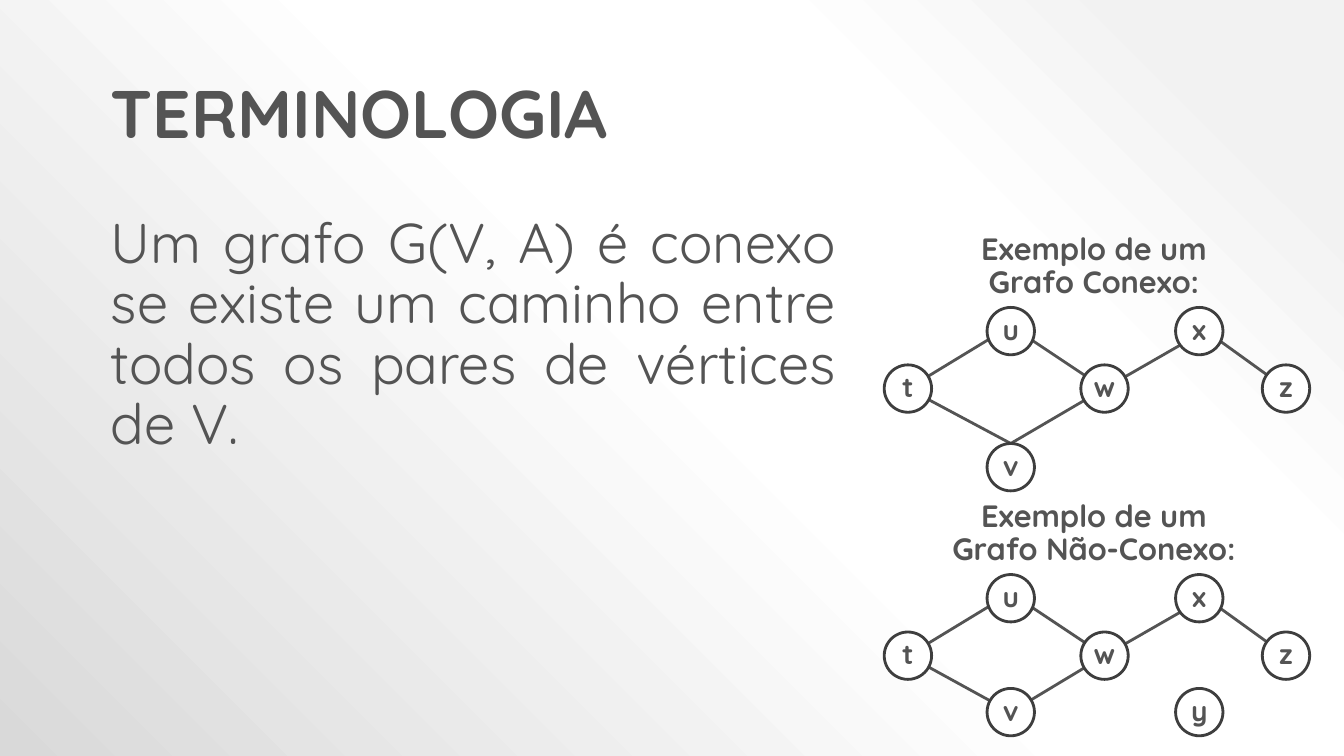
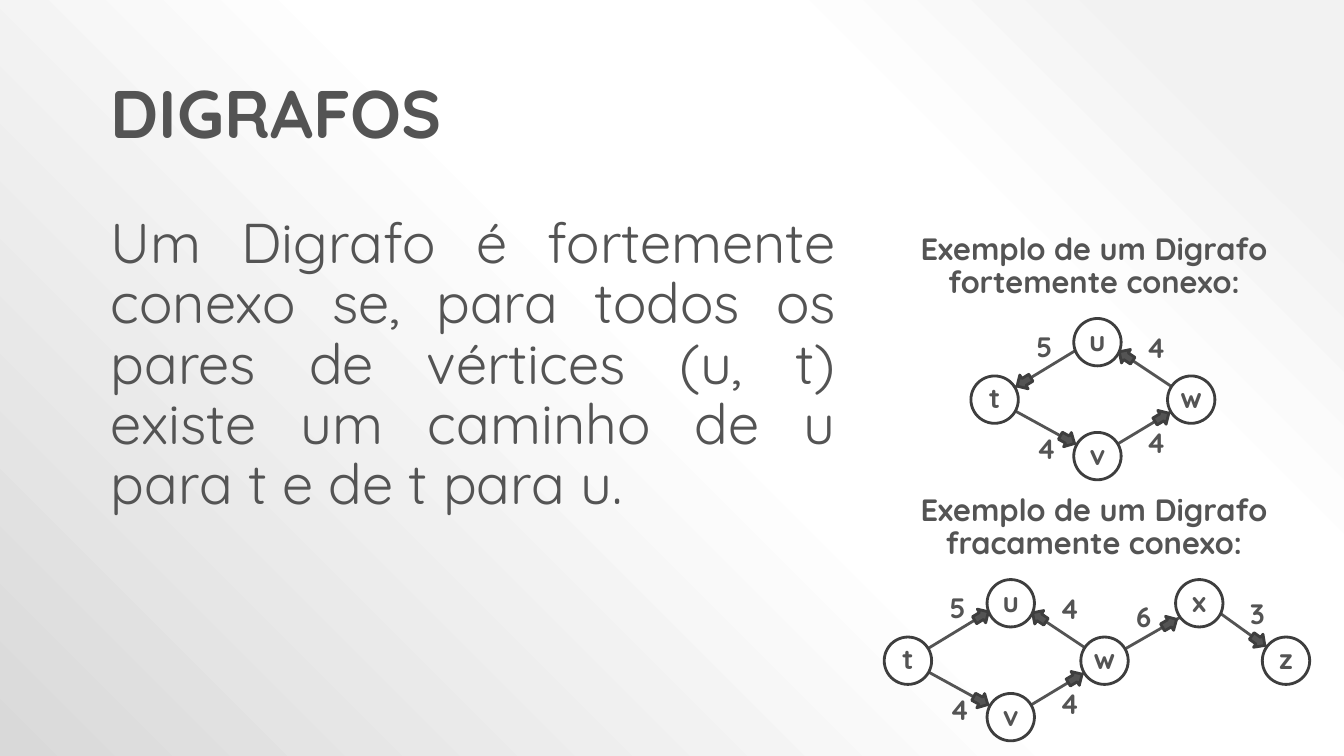
import dataclasses
import math

import lxml.etree
import pptx
import pptx.dml.color
import pptx.enum.shapes
import pptx.enum.text
import pptx.oxml
import pptx.oxml.ns
import pptx.util

Inches = pptx.util.Inches
Shape = pptx.enum.shapes.MSO_SHAPE
Align = pptx.enum.text.PP_ALIGN
Anchor = pptx.enum.text.MSO_ANCHOR
qn = pptx.oxml.ns.qn


@dataclasses.dataclass(frozen=True)
class Theme:
    font: str = "Quicksand"
    ink: str = "545454"
    edge: str = "3E3E3E"
    white: str = "FFFFFF"
    stops: tuple = ((10, "F2F2F2"), (28, "FFFFFF"), (48, "FFFFFF"), (100, "D9D9D9"))
    title: int = 48
    body: int = 40
    head: int = 22
    node: int = 20
    line: int = 2


THEME = Theme()
SIZE = 0.47
HALF = SIZE / 2
TIP = 0.16
REACH = 0.34
NODES = {
    "t": (0, 0.57), "u": (1.02, 0), "v": (1.02, 1.13), "w": (1.95, 0.57),
    "x": (2.89, 0), "y": (2.89, 1.13), "z": (3.75, 0.57),
}
LIFTS = {"tv": 0, "wu": -0.05, "wv": 0, "wx": 0.03, "zx": -0.05, "tu": -0.05}
COSTS = {
    "tu": ("5", 0.55, 0.1), "wu": ("4", 1.64, 0.11), "wx": ("6", 2.4, 0.19),
    "zx": ("3", 3.53, 0.16), "tv": ("4", 0.55, 1.11), "wv": ("4", 1.64, 1.05),
}


def color(code):
    return pptx.dml.color.RGBColor.from_string(code)


def say(frame, text, size=THEME.node, bold=True, align=Align.LEFT, anchor=Anchor.TOP, wrap=True):
    frame.word_wrap = wrap
    frame.vertical_anchor = anchor
    frame.auto_size = pptx.enum.text.MSO_AUTO_SIZE.NONE
    frame.text = text
    for par in frame.paragraphs:
        par.alignment = align
        par.line_spacing = 0.9
        par.space_before = pptx.util.Pt(0)
        for run in par.runs:
            run.font.name = THEME.font
            run.font.size = pptx.util.Pt(size)
            run.font.bold = bold
            run.font.color.rgb = color(THEME.ink)


def place(shape, left, top, width, height):
    shape.left, shape.top = Inches(left), Inches(top)
    shape.width, shape.height = Inches(width), Inches(height)


def label(slide, text, left, top, width, height, **style):
    box = slide.shapes.add_textbox(Inches(left), Inches(top), Inches(width), Inches(height))
    say(box.text_frame, text, **style)


def mark(slide, kind, left, top, size, fill):
    shape = slide.shapes.add_shape(kind, Inches(left), Inches(top), Inches(size), Inches(size))
    shape.shadow.inherit = False
    shape.fill.solid()
    shape.fill.fore_color.rgb = color(fill)
    shape.line.color.rgb = color(THEME.edge)
    shape.line.width = pptx.util.Pt(THEME.line)
    return shape


def node(slide, name, left, top):
    disc = mark(slide, Shape.OVAL, left, top, SIZE, THEME.white)
    frame = disc.text_frame
    frame.margin_left = frame.margin_right = frame.margin_top = frame.margin_bottom = 0
    say(frame, name, align=Align.CENTER, anchor=Anchor.MIDDLE, wrap=False)


def link(slide, start, end):
    line = slide.shapes.add_connector(
        pptx.enum.shapes.MSO_CONNECTOR.STRAIGHT, *map(Inches, start + end))
    line.line.color.rgb = color(THEME.ink)
    line.line.width = pptx.util.Pt(THEME.line)
    props = line._element.find(qn("p:spPr"))
    lxml.etree.SubElement(props, qn("a:effectLst"))


def arrow(slide, start, end):
    dx, dy = end[0] - start[0], end[1] - start[1]
    span = math.hypot(dx, dy)
    left = end[0] - REACH * dx / span - TIP / 2
    top = end[1] - REACH * dy / span - TIP / 2
    tip = mark(slide, Shape.UP_ARROW, left, top, TIP, THEME.ink)
    tip.rotation = math.degrees(math.atan2(dx, -dy)) % 360


def graph(slide, left, top, names, arcs=(), drop=0):
    spots = {name: (left + NODES[name][0], top + NODES[name][1]) for name in names}
    lifts = dict(LIFTS)
    if drop:
        spots["v"] = (spots["v"][0], spots["v"][1] + drop)
        lifts["tv"] = lifts["wv"] = -HALF
    ends = {}
    for pair, lift in lifts.items():
        if set(pair) <= set(names):
            (ax, ay), (bx, by) = (spots[name] for name in pair)
            ends[pair] = ((ax + HALF, ay + HALF), (bx + HALF, by + HALF + lift))
            link(slide, *ends[pair])
    for name, spot in spots.items():
        node(slide, name, *spot)
    for arc in arcs:
        pair = arc if arc in ends else arc[::-1]
        start, end = ends[pair] if pair == arc else ends[pair][::-1]
        arrow(slide, start, end)
        cost, dx, dy = COSTS[pair]
        label(slide, cost, left + dx, top + dy, 0.39, 0.4, wrap=False)


def panel(slide, top, head, gap, names, left=8.77, **parts):
    label(slide, head, 8.7, top, 4.3, 0.77, size=THEME.head, align=Align.CENTER)
    graph(slide, left, top + gap, names, **parts)


def page(deck, title, body, panels):
    slide = deck.slides.add_slide(deck.slide_layouts[1])
    head, text = slide.placeholders
    place(head, 1, 0.75, 7.39, 0.85)
    say(head.text_frame, title, size=THEME.title, align=Align.JUSTIFY)
    place(text, 1, 2.08, 7.39, 5.42)
    say(text.text_frame, body, size=THEME.body, bold=False, align=Align.JUSTIFY)
    for par in text.text_frame.paragraphs:
        props = par._p.get_or_add_pPr()
        props.set("marL", "0")
        props.set("indent", "0")
        lxml.etree.SubElement(props, qn("a:buNone"))
    for parts in panels:
        panel(slide, **parts)


def paint(master):
    master.background.fill.gradient()
    old = master.element.find(".//" + qn("p:bgPr")).find(qn("a:gradFill"))
    stops = "".join(
        f'<a:gs pos="{pos * 1000}"><a:srgbClr val="{code}"/></a:gs>' for pos, code in THEME.stops)
    new = pptx.oxml.parse_xml(
        f'<a:gradFill {pptx.oxml.ns.nsdecls("a")} rotWithShape="1"><a:gsLst>{stops}</a:gsLst>'
        '<a:path path="circle"><a:fillToRect l="100000" b="100000"/></a:path></a:gradFill>')
    old.getparent().replace(old, new)


def main():
    deck = pptx.Presentation()
    deck.slide_width, deck.slide_height = Inches(13.33), Inches(7.5)
    paint(deck.slide_master)
    page(
        deck, "TERMINOLOGIA",
        "Um grafo G(V, A) é conexo se existe um caminho entre todos os pares de vértices de V.",
        [
            dict(top=2.27, head="Exemplo de um\nGrafo Conexo:", gap=0.78,
                 names="tuvwxz", drop=0.22),
            dict(top=4.92, head="Exemplo de um\nGrafo Não-Conexo:", gap=0.78,
                 names="tuvwxyz"),
        ])
    page(
        deck, "DIGRAFOS",
        "Um Digrafo é fortemente conexo se, para todos os pares de vértices (u, t) "
        "existe um caminho de u para t e de t para u.",
        [
            dict(top=2.27, head="Exemplo de um Digrafo fortemente conexo:", gap=0.89,
                 names="tuvw", left=9.63, arcs=("ut", "tv", "vw", "wu")),
            dict(top=4.86, head="Exemplo de um Digrafo fracamente conexo:", gap=0.89,
                 names="tuvwxz", arcs=("tu", "tv", "vw", "wu", "wx", "xz")),
        ])
    deck.save("out.pptx")


if __name__ == "__main__":
    main()
